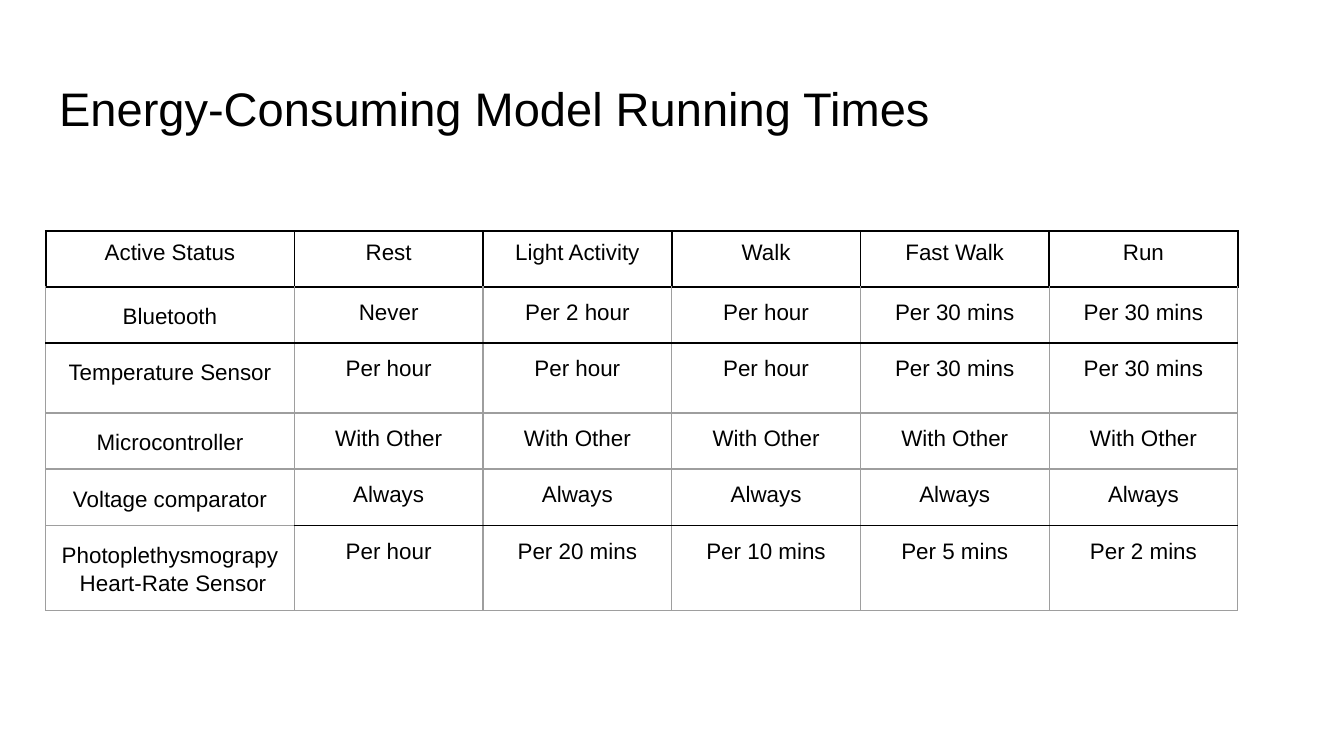
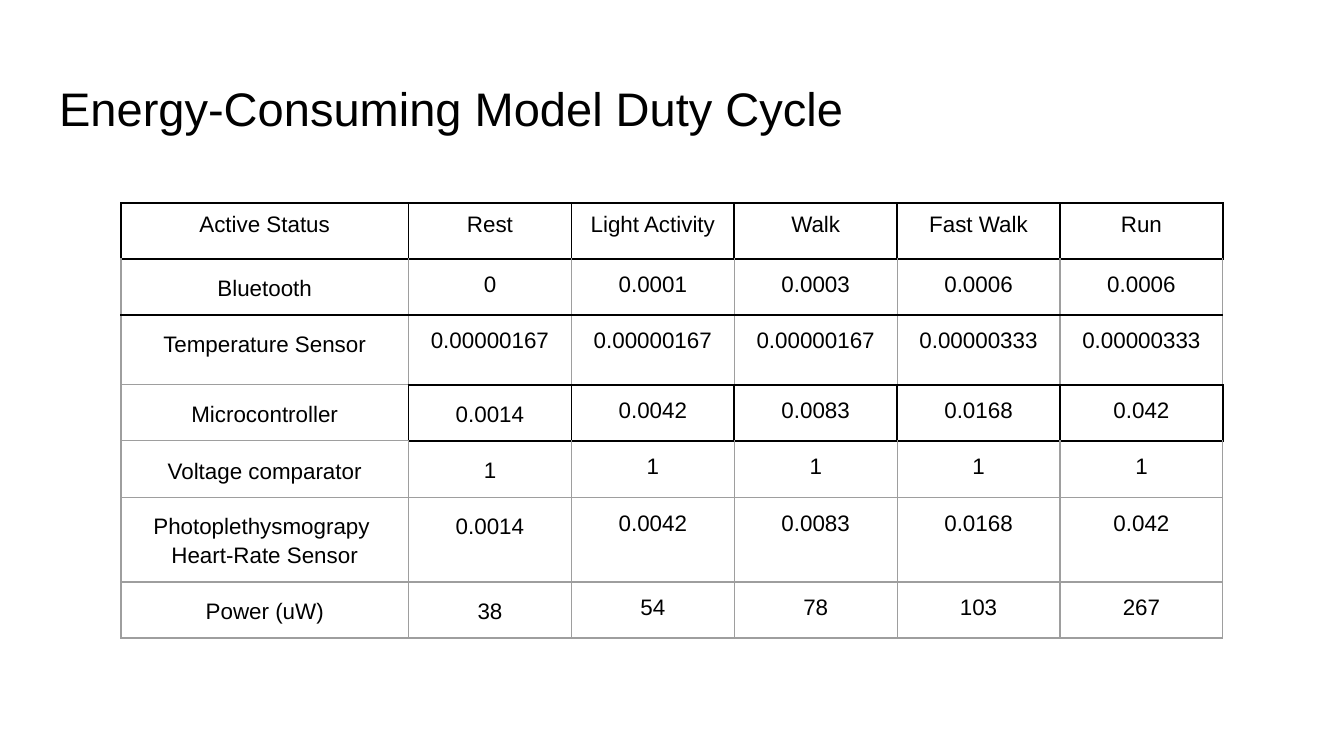
from dataclasses import dataclass

from lxml import etree
from pptx import Presentation
from pptx.dml import color
from pptx.enum import text
from pptx.oxml import ns
from pptx.util import Inches, Pt


@dataclass(frozen=True)
class Theme:
    font: str = "Arial"
    ink: str = "000000"
    grid: str = "9E9E9E"
    title_size: float = 25.2
    cell_size: float = 12
    dark_width: float = 1
    grid_width: float = 0.75


ACTIVITIES = ["Active Status", "Rest", "Light Activity", "Walk", "Fast Walk", "Run"]
VALUE_COLUMNS = range(1, len(ACTIVITIES))
TALL_LABEL = "Temperature Sensor"
TIGHT_LABEL = "Voltage comparator"
ROW_HEIGHT = 5 / 12
TALL_HEIGHT = 6.25 / 12

RUNNING_TIMES = [
    ACTIVITIES,
    ["Bluetooth", "Never", "Per 2 hour", "Per hour", "Per 30 mins", "Per 30 mins"],
    [TALL_LABEL] + ["Per hour"] * 3 + ["Per 30 mins"] * 2,
    ["Microcontroller"] + ["With Other"] * 5,
    [TIGHT_LABEL] + ["Always"] * 5,
    ["Photoplethysmograpy  Heart-Rate Sensor",
     "Per hour", "Per 20 mins", "Per 10 mins", "Per 5 mins", "Per 2 mins"],
]
ACTIVE_SHARES = ["0.0014", "0.0042", "0.0083", "0.0168", "0.042"]
DUTY_CYCLE = [
    ACTIVITIES,
    ["Bluetooth", "0", "0.0001", "0.0003", "0.0006", "0.0006"],
    [TALL_LABEL] + ["0.00000167"] * 3 + ["0.00000333"] * 2,
    ["Microcontroller"] + ACTIVE_SHARES,
    [TIGHT_LABEL] + ["1"] * 5,
    ["Photoplethysmograpy  Heart-Rate Sensor"] + ACTIVE_SHARES,
    ["Power (uW)", "38", "54", "78", "103", "267"],
]


def write(frame, words, *, font, size, ink, align, line=None, after=None):
    para = frame.paragraphs[0]
    para.alignment = align
    if line is not None:
        para.line_spacing = line
    if after is not None:
        para.space_after = Pt(after)
    span = para.add_run()
    span.text = words
    span.font.name = font
    span.font.size = Pt(size)
    span.font.color.rgb = color.RGBColor.from_string(ink)


class PageBuilder:
    def __init__(self, deck, theme):
        self.deck = deck
        self.theme = theme
        self.page = None

    def add_page(self, heading):
        self.page = self.deck.slides.add_slide(self.deck.slide_layouts[5])
        box = self.page.shapes.title
        box.left, box.top = Inches(0.34), Inches(0.49)
        box.width, box.height = Inches(9.32), Inches(0.63)
        frame = box.text_frame
        frame.auto_size = text.MSO_AUTO_SIZE.NONE
        frame.word_wrap = True
        frame.vertical_anchor = text.MSO_ANCHOR.TOP
        self.set_margins(frame, 0.1)
        write(frame, heading, font=self.theme.font, size=self.theme.title_size,
              ink=self.theme.ink, align=text.PP_ALIGN.LEFT)

    def set_margins(self, target, inset):
        target.margin_left = target.margin_right = Inches(inset)
        target.margin_top = target.margin_bottom = Inches(inset)

    def set_border(self, cell, side, dark):
        theme = self.theme
        width = theme.dark_width if dark else theme.grid_width
        properties = cell._tc.get_or_add_tcPr()
        line = etree.SubElement(properties, ns.qn(f"a:ln{side}"), w=str(Pt(width)))
        fill = etree.SubElement(line, ns.qn("a:solidFill"))
        etree.SubElement(fill, ns.qn("a:srgbClr"), val=theme.ink if dark else theme.grid)

    def add_table(self, rows, left, top, width, label_width,
                  dark_rules=(), dark_row=None, spaced_from=None):
        heights = [TALL_HEIGHT if row[0] == TALL_LABEL else ROW_HEIGHT for row in rows]
        grid = self.page.shapes.add_table(
            len(rows), len(rows[0]), Inches(left), Inches(top),
            Inches(width), Inches(sum(heights))).table
        grid.first_row = grid.horz_banding = False
        value_width = (width - label_width) / len(VALUE_COLUMNS)
        for index, column in enumerate(grid.columns):
            column.width = Inches(value_width if index else label_width)
        for row, height in zip(grid.rows, heights):
            row.height = Inches(height)

        def rule_is_dark(rule, column):
            return rule < 3 and rule not in dark_rules or (
                rule in dark_rules and column in VALUE_COLUMNS)

        def upright_is_dark(row, edge):
            return row == 0 or (row == dark_row and edge > 0)

        for r, row in enumerate(rows):
            for c, words in enumerate(row):
                cell = grid.cell(r, c)
                self.set_margins(cell, 0.1 if r else 0.07)
                self.set_border(cell, "L", upright_is_dark(r, c))
                self.set_border(cell, "R", upright_is_dark(r, c + 1))
                self.set_border(cell, "T", rule_is_dark(r, c))
                self.set_border(cell, "B", rule_is_dark(r + 1, c))
                cell.fill.background()
                spacing = {}
                if words == TIGHT_LABEL:
                    spacing = {"line": 1.18, "after": 6}
                elif r and (c == 0 or (c == 1 and spaced_from and r >= spaced_from)):
                    spacing = {"line": 1.15, "after": 12}
                write(cell.text_frame, words, font=self.theme.font,
                      size=self.theme.cell_size, ink=self.theme.ink,
                      align=text.PP_ALIGN.CENTER, **spacing)


def main():
    deck = Presentation()
    deck.slide_width = Inches(10)
    deck.slide_height = Inches(10 * 9 / 16)
    builder = PageBuilder(deck, Theme())

    builder.add_page("Energy-Consuming Model Running Times")
    builder.add_table(RUNNING_TIMES, 0.34, 1.72, 8.87, 1.85, dark_rules=(5,))

    builder.add_page("Energy-Consuming Model Duty Cycle")
    builder.add_table(DUTY_CYCLE, 0.9, 1.51, 8.2, 2.14,
                      dark_rules=(3, 4), dark_row=3, spaced_from=3)

    deck.save("out.pptx")


if __name__ == "__main__":
    main()
